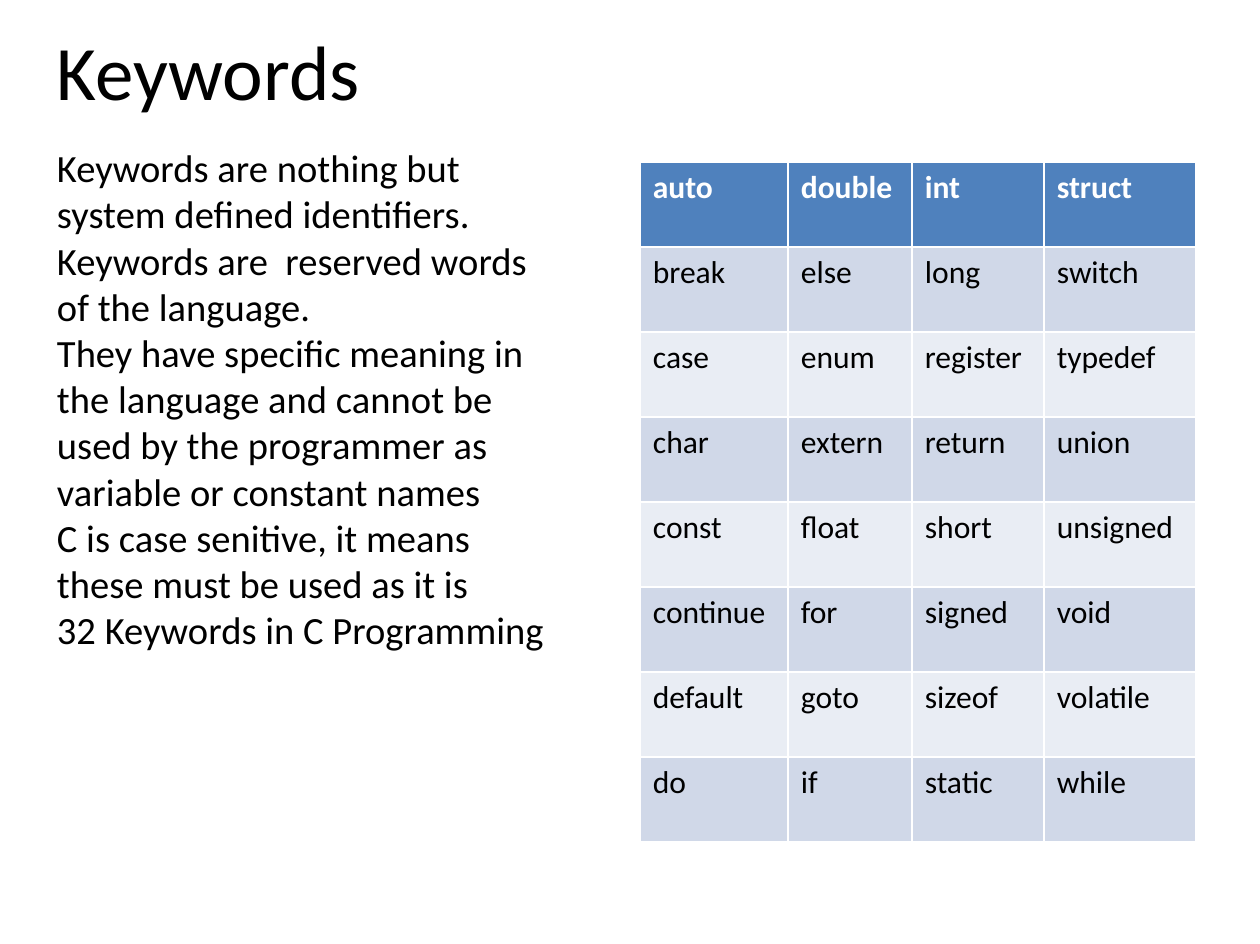
from pptx import Presentation
from pptx import util as u
from pptx.dml.color import RGBColor
from pptx.enum import text
from pptx.oxml.xmlchemy import OxmlElement

PX = 6430
FONT = "Calibri"
BLACK = RGBColor(0x00, 0x00, 0x00)
WHITE = RGBColor(0xFF, 0xFF, 0xFF)
HEADER_BLUE = RGBColor(0x4F, 0x81, 0xBD)
BAND_DARK = RGBColor(0xD0, 0xD8, 0xE8)
BAND_LIGHT = RGBColor(0xE9, 0xED, 0xF4)

FACTS = [
    "Keywords are nothing but system defined identifiers.",
    "Keywords are  reserved words of the language.",
    "They have specific meaning in the language and cannot be used by the "
    "programmer as variable or constant names",
    "C is case senitive, it means these must be used as it is",
    "32 Keywords in C Programming",
]
KEYWORDS = [
    ["auto", "double", "int", "struct"],
    ["break", "else", "long", "switch"],
    ["case", "enum", "register", "typedef"],
    ["char", "extern", "return", "union"],
    ["const", "float", "short", "unsigned"],
    ["continue", "for", "signed", "void"],
    ["default", "goto", "sizeof", "volatile"],
    ["do", "if", "static", "while"],
]
COLUMN_WIDTHS = [148, 124, 132, 152]
ROW_HEIGHT = 85


def px(*lengths):
    """Turn px lengths into EMU."""
    return [u.Emu(n * PX) for n in lengths]


def write(tf, lines, size, color=BLACK, bold=False, margins=(0, 0, 0, 0)):
    """Fill a text frame with plain, left-aligned paragraphs."""
    tf.margin_left, tf.margin_top, tf.margin_right, tf.margin_bottom = px(*margins)
    tf.word_wrap = True
    tf.vertical_anchor = text.MSO_ANCHOR.TOP
    for i, line in enumerate(lines):
        p = tf.paragraphs[0] if i == 0 else tf.add_paragraph()
        pPr = p._p.get_or_add_pPr()
        pPr.set("marL", "0")
        pPr.set("indent", "0")
        pPr.append(OxmlElement("a:buNone"))
        p.alignment = text.PP_ALIGN.LEFT
        p.space_before = u.Pt(0)
        r = p.add_run()
        r.text = line
        r.font.name, r.font.size, r.font.bold = FONT, u.Pt(size), bold
        r.font.color.rgb = color


def fill_placeholder(sp, box, lines, size):
    """Move a placeholder to its box and write its lines."""
    sp.left, sp.top, sp.width, sp.height = px(*box)
    write(sp.text_frame, lines, size)
    sp.text_frame.auto_size = text.MSO_AUTO_SIZE.SHAPE_TO_FIT_TEXT


def add_keyword_table(slide, left, top):
    """Add the banded keyword table at the given corner."""
    box = px(left, top, sum(COLUMN_WIDTHS), ROW_HEIGHT * len(KEYWORDS))
    table = slide.shapes.add_table(len(KEYWORDS), len(COLUMN_WIDTHS), *box).table
    for column, width in zip(table.columns, px(*COLUMN_WIDTHS)):
        column.width = width
    for i, words in enumerate(KEYWORDS):
        header = i == 0
        band = HEADER_BLUE if header else BAND_DARK if i % 2 else BAND_LIGHT
        for j, word in enumerate(words):
            cell = table.cell(i, j)
            cell.fill.solid()
            cell.fill.fore_color.rgb = band
            write(cell.text_frame, [word], 16, WHITE if header else BLACK, header)
            cell.margin_left, cell.margin_right = px(13, 13)
            cell.margin_top, cell.margin_bottom = px(6, 6)


def build_keywords_slide(prs):
    """Add the slide with title, facts and keyword table."""
    slide = prs.slides.add_slide(prs.slide_layouts[1])
    title, body = slide.placeholders
    fill_placeholder(title, (57, 23, 1004, 94), ["Keywords"], 39)
    fill_placeholder(body, (57, 144, 492, 512), FACTS, 19.5)
    add_keyword_table(slide, 640, 162)


def main():
    """Build and save the presentation."""
    prs = Presentation()
    prs.slide_width, prs.slide_height = px(1260, 944)
    build_keywords_slide(prs)
    prs.save("out.pptx")


if __name__ == "__main__":
    main()
